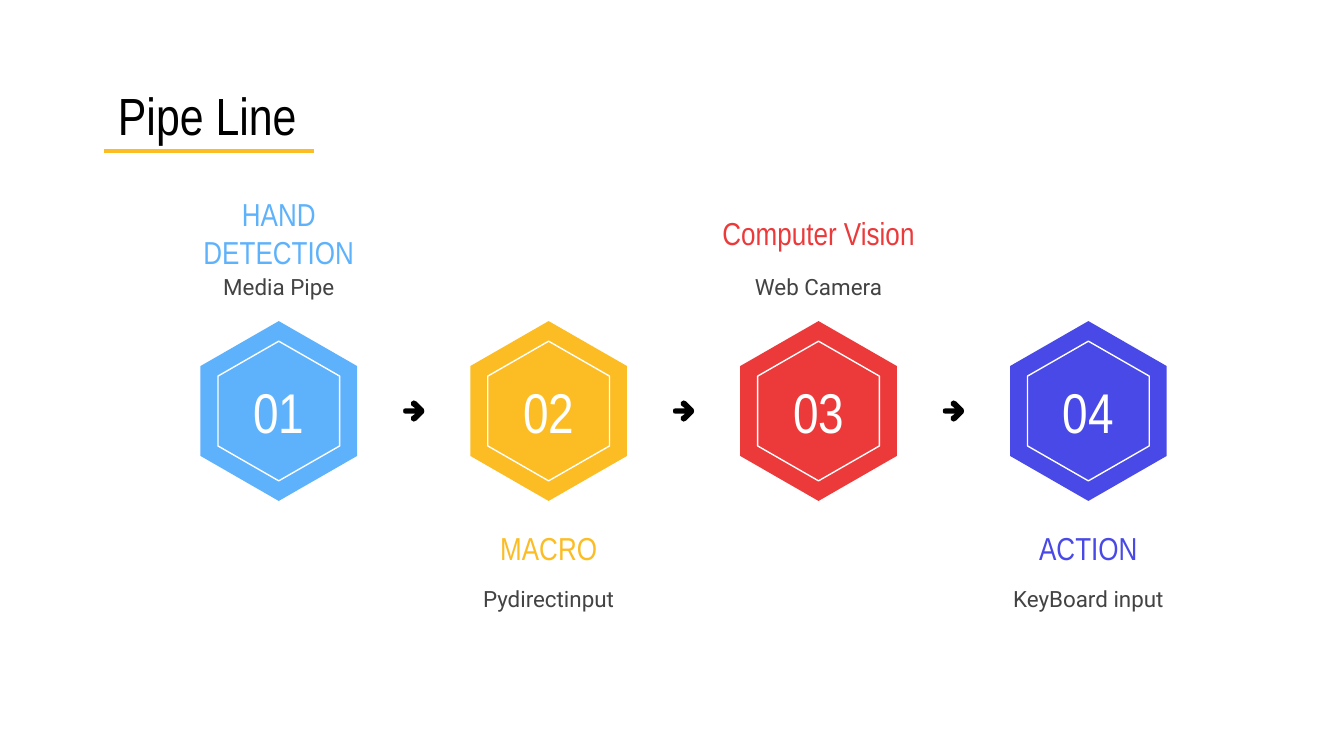
from pptx import Presentation
from pptx import util as u
from pptx.dml.color import RGBColor
from pptx.enum import shapes, text
from pptx.oxml.ns import qn
from lxml import etree

# Content: heading, detail, colour, whether the labels sit above the hexagon
TITLE = "Pipe Line"
STEPS = [
    ("HAND DETECTION", "Media Pipe", "5EB2FC", True),
    ("MACRO", "Pydirectinput", "FCBD24", False),
    ("Computer Vision", "Web Camera", "EC3A3B", True),
    ("ACTION", "KeyBoard input", "4949E7", False),
]

# Layout in centimetres
FIRST_X, PITCH, MIDDLE_Y = 5.27, 5.1, 7.77
LABEL_HEIGHT = 1.6
HEADING_WIDTH, DETAIL_WIDTH = 4.85, 5.18
LABEL_TOPS = {True: (3.61, 4.62), False: (9.55, 10.52)}
ARROW_TOP = [(-0.2, 0), (-0.19, -0.04), (-0.15, -0.05), (0.03, -0.05),
             (-0.05, -0.11), (-0.05, -0.17), (0, -0.2), (0.05, -0.18),
             (0.19, -0.04), (0.2, 0)]
ARROW = ARROW_TOP + [(x, -y) for x, y in ARROW_TOP[-2:0:-1]]

presentation = Presentation()
presentation.slide_width, presentation.slide_height = u.Cm(25.4), u.Cm(14.29)
slide = presentation.slides.add_slide(presentation.slide_layouts[6])


def color(value):
    return RGBColor.from_string(value)


def write(shape, content, size, fill, font="Arial Narrow",
          align=text.PP_ALIGN.CENTER):
    frame = shape.text_frame
    frame.word_wrap = True
    frame.vertical_anchor = text.MSO_ANCHOR.MIDDLE
    frame.margin_left = frame.margin_right = u.Cm(0.25)
    frame.margin_top = frame.margin_bottom = u.Cm(0.25)
    paragraph = frame.paragraphs[0]
    paragraph.alignment = align
    run = paragraph.add_run()
    run.text = content
    run.font.size, run.font.name = u.Pt(size), font
    run.font.color.rgb = color(fill)


def add_text(left, top, width, height, content, size, fill, **options):
    box = slide.shapes.add_textbox(u.Cm(left), u.Cm(top), u.Cm(width), u.Cm(height))
    write(box, content, size, fill, **options)


def add_polygon(center_x, points, fill=None, line=None):
    corners = [(u.Cm(center_x + x), u.Cm(MIDDLE_Y + y)) for x, y in points]
    builder = slide.shapes.build_freeform(*corners[0])
    builder.add_line_segments(corners[1:], close=True)
    shape = builder.convert_to_shape()
    shape.shadow.inherit = False
    if fill:
        shape.fill.solid()
        shape.fill.fore_color.rgb = color(fill)
    else:
        shape.fill.background()
    if line:
        shape.line.color.rgb = color(line)
        shape.line.width = u.Pt(0.75)
    else:
        shape.line.fill.background()
    return shape


def hexagon(half_width, half_height):
    shoulder = half_height / 2
    return [(0, -half_height), (-half_width, -shoulder), (-half_width, shoulder),
            (0, half_height), (half_width, shoulder), (half_width, -shoulder)]


# Title and its underline
add_text(1.98, 1.5, 21.46, 1.35, TITLE, 28, "000000", align=text.PP_ALIGN.LEFT)
underline = slide.shapes.add_connector(
    shapes.MSO_CONNECTOR.STRAIGHT, u.Cm(1.96), u.Cm(2.85), u.Cm(5.94), u.Cm(2.85))
underline.line.color.rgb = color("FCBD24")
underline.line.width = u.Pt(2.25)
etree.SubElement(underline._element.spPr, qn("a:effectLst"))

# Steps, with an arrow halfway to the next one
for index, (heading, detail, accent, above) in enumerate(STEPS):
    center_x = FIRST_X + index * PITCH
    badge = add_polygon(center_x, hexagon(1.48, 1.7), fill=accent)
    write(badge, f"{index + 1:02}", 30, "FFFFFF")
    add_polygon(center_x, hexagon(1.15, 1.32), line="FFFFFF")

    heading_top, detail_top = LABEL_TOPS[above]
    add_text(center_x - HEADING_WIDTH / 2, heading_top, HEADING_WIDTH,
             LABEL_HEIGHT, heading, 17, accent)
    add_text(center_x - DETAIL_WIDTH / 2, detail_top, DETAIL_WIDTH,
             LABEL_HEIGHT, detail, 12, "434343", font="Roboto")

    if index < len(STEPS) - 1:
        add_polygon(center_x + PITCH / 2, ARROW, fill="000000")

presentation.save("out.pptx")
